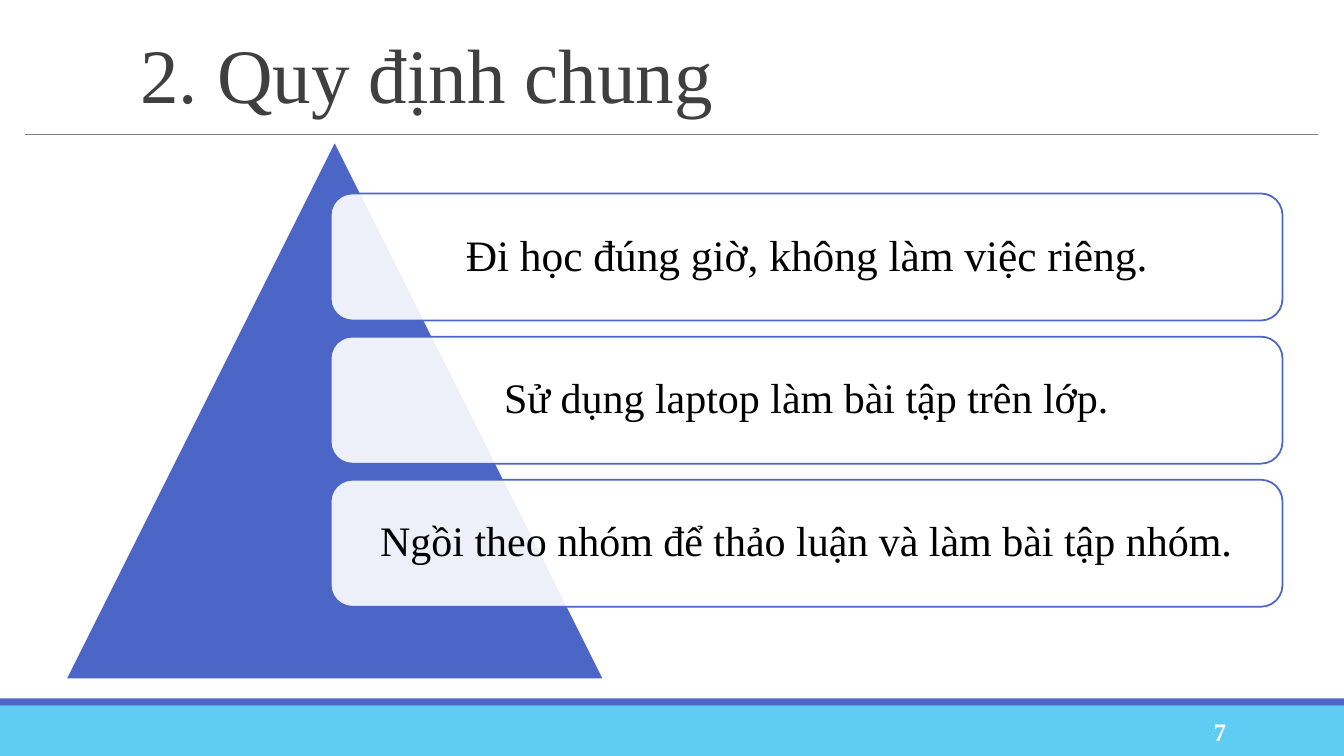
from lxml import etree
from pptx import Presentation
from pptx import util as u
from pptx.dml.color import RGBColor
from pptx.enum import shapes, text
from pptx.oxml import ns

INDIGO = RGBColor(0x4C, 0x66, 0xC7)
STRIPE = RGBColor(0x4E, 0x67, 0xC8)
SKY = RGBColor(0x5E, 0xCC, 0xF3)
RULE_GRAY = RGBColor(0x7F, 0x7F, 0x7F)
TITLE_GRAY = RGBColor(0x3F, 0x3F, 0x3F)
BLACK = RGBColor(0, 0, 0)
WHITE = RGBColor(0xFF, 0xFF, 0xFF)

RULES = [
    ("Đi học đúng giờ, không làm việc riêng.", 31),
    ("Sử dụng laptop làm bài tập trên lớp.", 30),
    ("Ngồi theo nhóm để thảo luận và làm bài tập nhóm.", 30),
]
CARD_TOP = 1.92
CARD_PITCH = 1.42


def apply_format(target, values):
    for name, value in values.items():
        setattr(target, name, value)


class SlideBuilder:
    font_name = "Times New Roman"

    def __init__(self, presentation):
        self.slide = presentation.slides.add_slide(presentation.slide_layouts[5])

    def set_text(self, shape, content, size, color, align, spacing=1.0, bold=False, insets=(0.1, 0.05)):
        side, edge = (u.Inches(inset) for inset in insets)
        frame = shape.text_frame
        apply_format(frame, {
            "word_wrap": True,
            "auto_size": text.MSO_AUTO_SIZE.NONE,
            "vertical_anchor": text.MSO_ANCHOR.MIDDLE,
            "margin_left": side,
            "margin_right": side,
            "margin_top": edge,
            "margin_bottom": edge,
        })
        paragraph = frame.paragraphs[0]
        apply_format(paragraph, {"alignment": align, "line_spacing": spacing})
        run = paragraph.add_run()
        run.text = content
        apply_format(run.font, {"name": self.font_name, "size": u.Pt(size), "bold": bold})
        run.font.color.rgb = color

    def title(self, content, left, top, width, height):
        shape = self.slide.shapes.title
        apply_format(shape, {
            "left": u.Inches(left),
            "top": u.Inches(top),
            "width": u.Inches(width),
            "height": u.Inches(height),
        })
        self.set_text(shape, content, 55, TITLE_GRAY, text.PP_ALIGN.LEFT, spacing=0.85)

    def block(self, kind, left, top, width, height, fill, line=None, opacity=None):
        shape = self.slide.shapes.add_shape(
            kind, u.Inches(left), u.Inches(top), u.Inches(width), u.Inches(height))
        shape.shadow.inherit = False
        shape.fill.solid()
        shape.fill.fore_color.rgb = fill
        if opacity is not None:
            color = shape._element.spPr.find(ns.qn("a:solidFill")).find(ns.qn("a:srgbClr"))
            etree.SubElement(color, ns.qn("a:alpha"), val=str(opacity * 1000))
        if line is None:
            shape.line.fill.background()
        else:
            shape.line.color.rgb = line
            shape.line.width = u.Pt(1.25)
        return shape

    def rule_card(self, content, size, top):
        card = self.block(shapes.MSO_SHAPE.ROUNDED_RECTANGLE, 3.28, top, 9.44, 1.26,
                          WHITE, INDIGO, opacity=90)
        card.adjustments[0] = 0.17
        self.set_text(card, content, size, BLACK, text.PP_ALIGN.CENTER,
                      spacing=0.9, insets=(0.12, 0.12))

    def divider(self, left, right, top):
        connector = self.slide.shapes.add_connector(
            shapes.MSO_CONNECTOR.STRAIGHT,
            u.Inches(left), u.Inches(top), u.Inches(right), u.Inches(top))
        connector.line.color.rgb = RULE_GRAY
        connector.line.width = u.Pt(0.75)
        etree.SubElement(connector._element.spPr, ns.qn("a:effectLst"))

    def page_number(self, content, left, top, width, height):
        box = self.slide.shapes.add_textbox(
            u.Inches(left), u.Inches(top), u.Inches(width), u.Inches(height))
        self.set_text(box, content, 18, WHITE, text.PP_ALIGN.RIGHT, bold=True)


def main():
    presentation = Presentation()
    presentation.slide_width = u.Inches(13.33)
    presentation.slide_height = u.Inches(7.5)
    builder = SlideBuilder(presentation)

    builder.block(shapes.MSO_SHAPE.RECTANGLE, 0, 7, 13.33, 0.5, SKY)
    builder.block(shapes.MSO_SHAPE.RECTANGLE, 0, 6.93, 13.33, 0.07, STRIPE)
    builder.divider(0.25, 13.07, 1.33)
    builder.title("2. Quy định chung", 1.29, 0.31, 11.78, 0.96)
    builder.block(shapes.MSO_SHAPE.ISOSCELES_TRIANGLE, 0.65, 1.4, 5.34, 5.34, INDIGO, WHITE)
    for index, (content, size) in enumerate(RULES):
        builder.rule_card(content, size, CARD_TOP + index * CARD_PITCH)
    builder.page_number("7", 10.83, 7.06, 1.43, 0.4)

    presentation.save("out.pptx")


if __name__ == "__main__":
    main()
